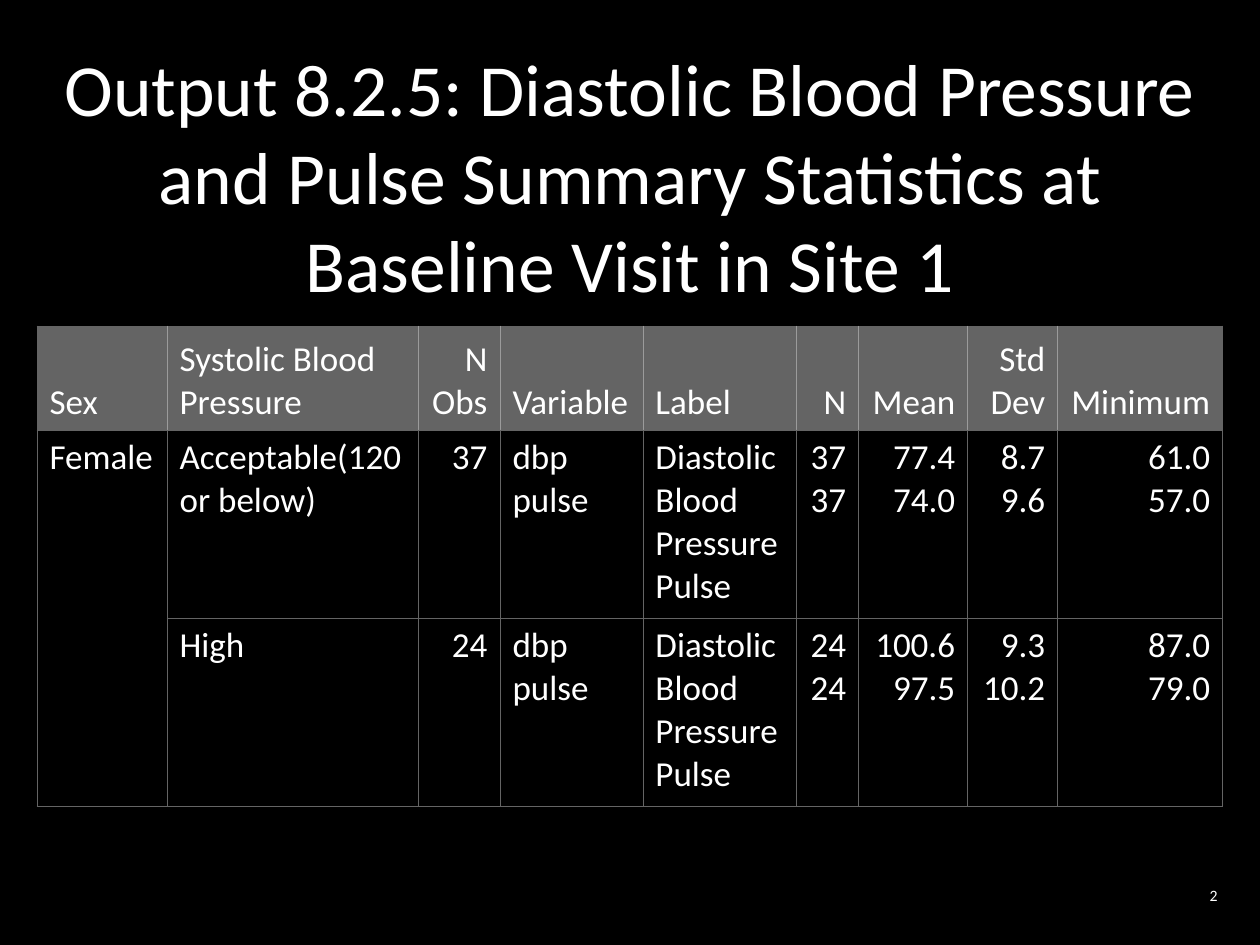
from dataclasses import dataclass

from lxml.etree import SubElement
from pptx import Presentation
from pptx.dml.color import RGBColor as Rgb
from pptx.enum.text import MSO_ANCHOR as Anchor, PP_ALIGN as Align
from pptx.oxml.ns import qn
from pptx.util import Emu, Pt


@dataclass(frozen=True)
class Theme:
    """Colours, font and type sizes of the slide."""
    font: str = "Calibri"
    ground: str = "000000"
    ink: str = "FFFFFF"
    band: str = "646464"
    divider: str = "9B9B9B"
    title_size: int = 42
    table_size: int = 20
    number_size: int = 9


THEME = Theme()
SLIDE_WIDTH, SLIDE_HEIGHT = 1260, 945
COLUMN_WIDTHS = [130, 251, 82, 143, 154, 62, 109, 90, 165]
ROW_HEIGHTS = [104, 188, 188]
NUMERIC_COLUMNS = {2, 5, 6, 7, 8}
HEADINGS = ["Sex", "Systolic Blood\nPressure", "N\nObs", "Variable", "Label",
            "N", "Mean", "Std\nDev", "Minimum"]
VARIABLES = ["dbp\npulse", "Diastolic\nBlood\nPressure\nPulse"]
STATISTICS = [
    HEADINGS,
    ["Female", "Acceptable(120\nor below)", "37", *VARIABLES,
     "37\n37", "77.4\n74.0", "8.7\n9.6", "61.0\n57.0"],
    ["", "High", "24", *VARIABLES,
     "24\n24", "100.6\n97.5", "9.3\n10.2", "87.0\n79.0"],
]


def px(length):
    """Turn px into EMU at 126 px to the inch."""
    return Emu(round(length * 914400 / 126))


def write(frame, wording, size, align):
    """Write one paragraph, with its line breaks, in the theme's type."""
    paragraph = frame.paragraphs[0]
    paragraph.text = wording
    paragraph.alignment = align
    type_format = {"name": THEME.font, "size": Pt(size), "bold": False}
    for run in paragraph.runs:
        for attribute, value in type_format.items():
            setattr(run.font, attribute, value)
        run.font.color.rgb = Rgb.from_string(THEME.ink)


def add_text(slide, box, wording, size, align):
    """Place a wrapped, vertically centred text in a box."""
    frame = slide.shapes.add_textbox(*map(px, box)).text_frame
    frame.word_wrap = True
    frame.vertical_anchor = Anchor.MIDDLE
    write(frame, wording, size, align)


def draw_borders(cell, colours):
    """Draw the half-point cell borders, given as side and colour."""
    properties = cell._tc.get_or_add_tcPr()
    for side, colour in colours.items():
        line = SubElement(properties, qn(f"a:ln{side}"), w=str(Pt(0.5)))
        fill = SubElement(line, qn("a:solidFill"))
        SubElement(fill, qn("a:srgbClr"), val=colour)


def style_cell(cell, row, column):
    """Give a cell its borders, fill and anchor by its place in the table."""
    colours = dict.fromkeys("LRTB", THEME.band)
    if row == 0:
        if column > 0:
            colours["L"] = THEME.divider
        if column < len(COLUMN_WIDTHS) - 1:
            colours["R"] = THEME.divider
    draw_borders(cell, colours)
    if row == 0:
        cell.fill.solid()
        cell.fill.fore_color.rgb = Rgb.from_string(THEME.band)
    else:
        cell.fill.background()
    cell.vertical_anchor = Anchor.BOTTOM if row == 0 else Anchor.TOP


def add_statistics(slide, left, top):
    """Build the summary statistics table from its top left corner."""
    table = slide.shapes.add_table(
        len(ROW_HEIGHTS), len(COLUMN_WIDTHS), px(left), px(top),
        px(sum(COLUMN_WIDTHS)), px(sum(ROW_HEIGHTS))).table
    for option in ("first_row", "horz_banding"):
        setattr(table, option, False)
    for column, width in zip(table.columns, COLUMN_WIDTHS):
        column.width = px(width)
    for row, height in zip(table.rows, ROW_HEIGHTS):
        row.height = px(height)
    for row, entries in enumerate(STATISTICS):
        for column, entry in enumerate(entries):
            cell = table.cell(row, column)
            style_cell(cell, row, column)
            align = Align.RIGHT if column in NUMERIC_COLUMNS else Align.LEFT
            write(cell.text_frame, entry, THEME.table_size, align)
    table.cell(1, 0).merge(table.cell(2, 0))


def main():
    """Build and save the slide."""
    deck = Presentation()
    deck.slide_width, deck.slide_height = px(SLIDE_WIDTH), px(SLIDE_HEIGHT)
    slide = deck.slides.add_slide(deck.slide_layouts[6])
    slide.background.fill.solid()
    slide.background.fill.fore_color.rgb = Rgb.from_string(THEME.ground)
    title = ("Output 8.2.5: Diastolic Blood Pressure\n"
             "and Pulse Summary Statistics at\nBaseline Visit in Site 1")
    add_text(slide, (32, 32, 1196, 286), title, THEME.title_size, Align.CENTER)
    add_statistics(slide, 37, 326)
    add_text(slide, (930, 877, 300, 37), "2", THEME.number_size, Align.RIGHT)
    deck.save("out.pptx")


if __name__ == "__main__":
    main()
